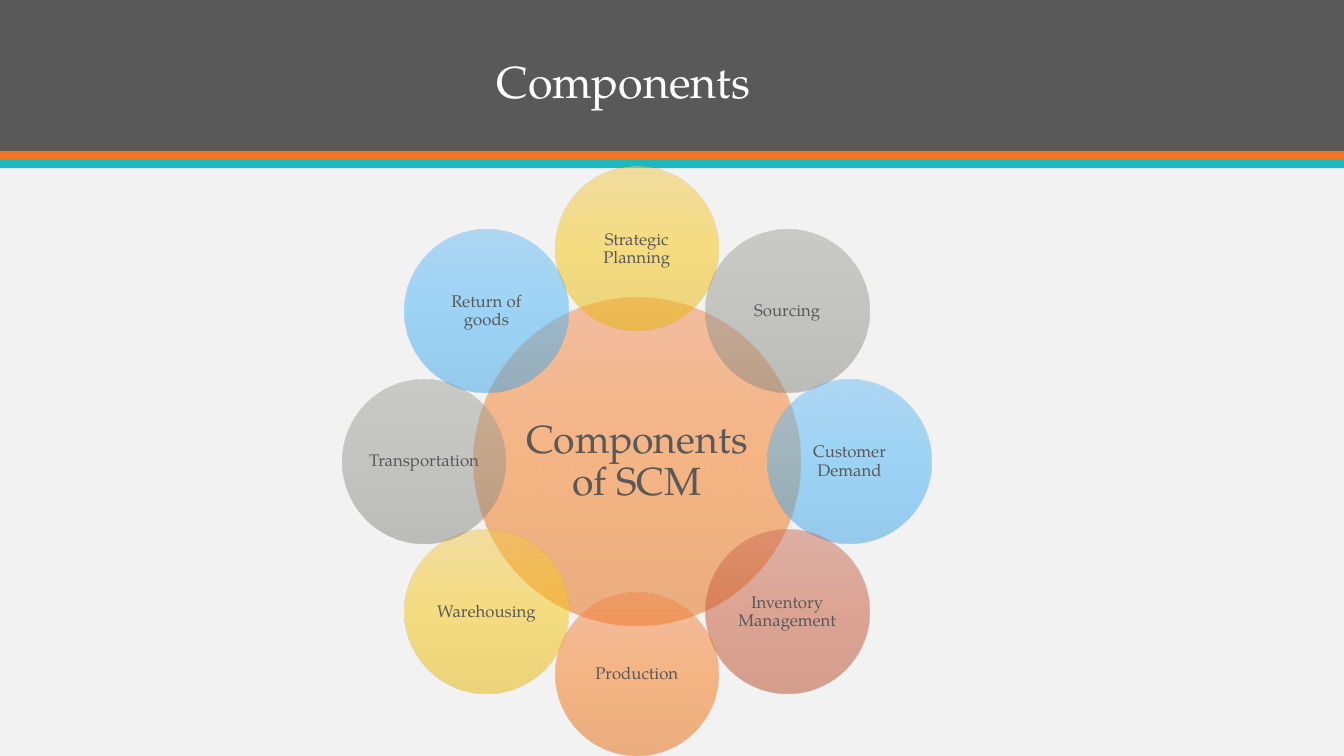
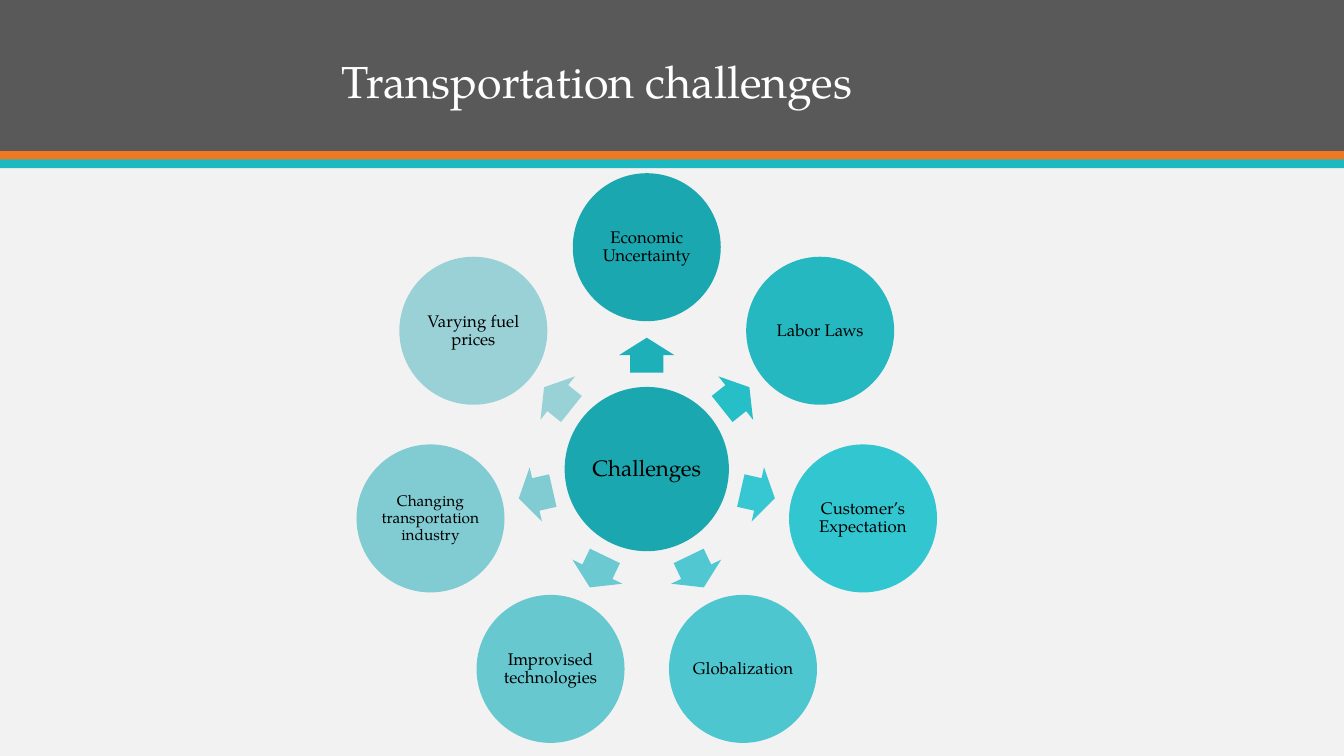
import math

from pptx import Presentation
from pptx.dml import color
from pptx.enum import shapes, text
from pptx.oxml import ns, parse_xml
from pptx.util import Cm, Pt

FONT = "TeX Gyre Pagella"
WHITE, BLACK, GREY = "FFFFFF", "000000", "595959"
BANDS = [(0, 3.81, GREY), (3.81, 0.22, "EF7920"), (4.02, 0.22, "1EB8C1")]

YELLOW = ("F3C84E", "FAC70E", "E5B506")
STONE = ("A2A39C", "969890", "86887F")
BLUE = ("6ABCF5", "48B6FA", "39A3E5")
RED = ("CA6F5A", "C75633", "B74A28")
ORANGE = ("F38950", "F97816", "E5690C")


def add_solid(page, kind, left, top, width, height, fill):
    """Add a preset shape without outline or shadow; fill is a hex string, or three for a see-through gradient."""
    shape = page.shapes.add_shape(kind, Cm(left), Cm(top), Cm(width), Cm(height))
    shape.shadow.inherit = False
    shape.line.fill.background()
    if isinstance(fill, str):
        shape.fill.solid()
        shape.fill.fore_color.rgb = color.RGBColor.from_string(fill)
    else:
        stops = "".join(
            f'<a:gs pos="{i * 50000}"><a:srgbClr val="{stop}"><a:alpha val="50000"/></a:srgbClr></a:gs>'
            for i, stop in enumerate(fill))
        gradient = parse_xml(f'<a:gradFill {ns.nsdecls("a")} rotWithShape="1"><a:gsLst>{stops}</a:gsLst>'
                             '<a:lin ang="5400000" scaled="0"/></a:gradFill>')
        shape.fill.background()
        properties = shape.element.spPr
        properties.replace(properties.find(ns.qn("a:noFill")), gradient)
    return shape


def write(shape, words, size, ink, align, anchor, inset=0):
    frame = shape.text_frame
    frame.word_wrap = True
    frame.vertical_anchor = anchor
    frame.margin_left = frame.margin_right = Cm(inset)
    frame.margin_top = frame.margin_bottom = Cm(inset / 2)
    para = frame.paragraphs[0]
    para.alignment = align
    para.line_spacing = 0.9
    span = para.add_run()
    span.text = words
    span.font.name = FONT
    span.font.size = Pt(size)
    span.font.color.rgb = color.RGBColor.from_string(ink)


deck = Presentation()
deck.slide_width, deck.slide_height = Cm(33.87), Cm(19.05)
backdrop = deck.slide_master.background.fill
backdrop.solid()
backdrop.fore_color.rgb = color.RGBColor.from_string("F2F2F2")

OVAL, ARROW = shapes.MSO_SHAPE.OVAL, shapes.MSO_SHAPE.RIGHT_ARROW
CENTRED = (text.PP_ALIGN.CENTER, text.MSO_ANCHOR.MIDDLE)

# Each circle: label, text size, fill, fill of the arrow leading to it
components = [
    ("Strategic Planning", 12, YELLOW, None),
    ("Sourcing", 12, STONE, None),
    ("Customer Demand", 12, BLUE, None),
    ("Inventory Management", 12, RED, None),
    ("Production", 12, ORANGE, None),
    ("Warehousing", 12, YELLOW, None),
    ("Transportation", 12, STONE, None),
    ("Return of goods", 12, BLUE, None),
]
challenges = [
    ("Economic Uncertainty", 12, "1BA7AF", "1DB0B8"),
    ("Labor Laws", 12, "25B8C1", "26BFC8"),
    ("Customer’s Expectation", 12, "31C6D0", "36C7D2"),
    ("Globalization", 12, "4DC6D0", "51C8D1"),
    ("Improvised technologies", 12, "68C8D0", "6AC9D1"),
    ("Changing transportation industry", 11, "81CCD2", "81CCD3"),
    ("Varying fuel prices", 12, "99D1D6", "98D1D6"),
]

# Title, its left and width; hub label, size, fill, diameter; text colour;
# centre of the ring, its radius, diameter of its circles; circles
diagrams = [
    ("Components", 12.27, 7.42, "Components of SCM", 28, ORANGE, 8.24, GREY,
     16.05, 11.63, 5.36, 4.12, components),
    ("Transportation challenges", 8.36, 13.72, "Challenges", 16, "1BA7AF", 4.14, BLACK,
     16.3, 11.82, 5.59, 3.73, challenges),
]
ARROW_RADIUS, ARROW_LENGTH, ARROW_WIDTH = 2.87, 0.88, 1.4

for (title, title_left, title_width, hub_label, hub_size, hub_fill, hub_diameter, ink,
     centre_x, centre_y, radius, diameter, circles) in diagrams:
    page = deck.slides.add_slide(deck.slide_layouts[6])
    for top, height, fill in BANDS:
        add_solid(page, shapes.MSO_SHAPE.RECTANGLE, 0, top, 33.87, height, fill)
    title_box = page.shapes.add_textbox(Cm(title_left), Cm(0.86), Cm(title_width), Cm(1.98))
    write(title_box, title, 32, WHITE, text.PP_ALIGN.LEFT, text.MSO_ANCHOR.BOTTOM, inset=0.25)

    hub = add_solid(page, OVAL, centre_x - hub_diameter / 2, centre_y - hub_diameter / 2,
                    hub_diameter, hub_diameter, hub_fill)
    write(hub, hub_label, hub_size, ink, *CENTRED)

    for i, (label, size, fill, arrow_fill) in enumerate(circles):
        degrees = 360 * i / len(circles) - 90
        across, down = math.cos(math.radians(degrees)), math.sin(math.radians(degrees))
        if arrow_fill:
            arrow = add_solid(page, ARROW, centre_x + ARROW_RADIUS * across - ARROW_LENGTH / 2,
                              centre_y + ARROW_RADIUS * down - ARROW_WIDTH / 2,
                              ARROW_LENGTH, ARROW_WIDTH, arrow_fill)
            arrow.adjustments[0], arrow.adjustments[1] = 0.6, 0.5
            arrow.rotation = degrees % 360
        circle = add_solid(page, OVAL, centre_x + radius * across - diameter / 2,
                           centre_y + radius * down - diameter / 2, diameter, diameter, fill)
        write(circle, label, size, ink, *CENTRED)

deck.save("out.pptx")
